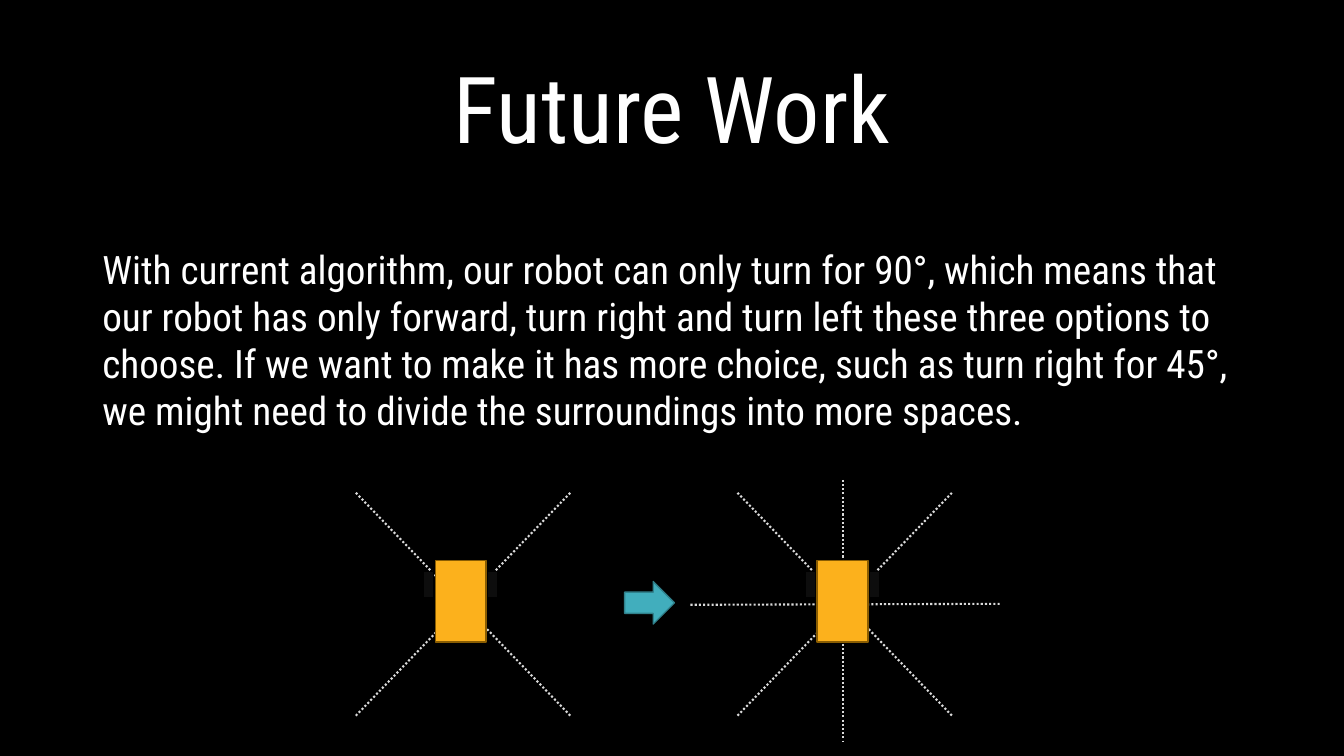
from pptx import Presentation
from pptx.dml.color import RGBColor
from pptx.enum import dml, shapes, text
from pptx.oxml.ns import qn
from pptx.util import Pt
from lxml import etree

BLACK = RGBColor(0x00, 0x00, 0x00)
WHITE = RGBColor(0xFF, 0xFF, 0xFF)
GREY = RGBColor(0xD9, 0xD9, 0xD9)
WHEEL = RGBColor(0x0D, 0x0D, 0x0D)
ORANGE = RGBColor(0xFC, 0xB1, 0x1C)
BROWN = RGBColor(0x8A, 0x5D, 0x02)
TEAL = RGBColor(0x41, 0xAE, 0xBD)
DARK_TEAL = RGBColor(0x30, 0x81, 0x8C)
FONT = "Roboto Condensed"
BODY = (
    "With current algorithm, our robot can only turn for 90°, which means that "
    "our robot has only forward, turn right and turn left these three options to "
    "choose. If we want to make it has more choice, such as turn right for 45°, "
    "we might need to divide the surroundings into more spaces."
)
ROBOT_STEP = 272.6


def add_text(slide, box, content, size, anchor, alignment, spacing):
    """Add a wrapped text box holding one paragraph."""
    frame = slide.shapes.add_textbox(*map(Pt, box)).text_frame
    frame.word_wrap = True
    frame.vertical_anchor = anchor
    paragraph = frame.paragraphs[0]
    paragraph.alignment = alignment
    paragraph.line_spacing = spacing
    run = paragraph.add_run()
    run.text = content
    run.font.name = FONT
    run.font.size = Pt(size)
    run.font.color.rgb = WHITE


def add_block(parent, kind, box, fill, outline):
    """Add a filled shape with a thin outline."""
    shape = parent.shapes.add_shape(kind, *map(Pt, box))
    shape.shadow.inherit = False
    shape.fill.solid()
    shape.fill.fore_color.rgb = fill
    shape.line.color.rgb = outline
    shape.line.width = Pt(1)


def add_divider(parent, *ends):
    """Add a dotted line that separates two spaces."""
    line = parent.shapes.add_connector(shapes.MSO_CONNECTOR.STRAIGHT, *map(Pt, ends))
    line.line.color.rgb = GREY
    line.line.width = Pt(1.5)
    line.line.dash_style = dml.MSO_LINE.ROUND_DOT
    etree.SubElement(line._element.spPr, qn("a:effectLst"))


def add_diagonals(slide, shift):
    """Add the two crossing dividers around a robot."""
    group = slide.shapes.add_group_shape()
    left, right, top, bottom = 254.2 + shift, 407.4 + shift, 352, 511.2
    add_divider(group, left, top, right, bottom)
    add_divider(group, left, bottom, right, top)


def add_robot(slide, shift):
    """Add a robot body with a wheel on each side."""
    group = slide.shapes.add_group_shape()
    rectangle = shapes.MSO_SHAPE.RECTANGLE
    for left in (348.4, 302.6):
        add_block(group, rectangle, (left + shift, 408.2, 7.2, 18.7), WHEEL, BLACK)
    add_block(group, rectangle, (311 + shift, 400.3, 36.3, 58.3), ORANGE, BROWN)


def main():
    """Build and save the slide."""
    presentation = Presentation()
    presentation.slide_width, presentation.slide_height = Pt(960), Pt(540)
    slide = presentation.slides.add_slide(presentation.slide_layouts[6])
    slide.background.fill.solid()
    slide.background.fill.fore_color.rgb = BLACK

    add_text(slide, (66, 28.75, 828, 104.4), "Future Work", 66,
             text.MSO_ANCHOR.MIDDLE, text.PP_ALIGN.CENTER, 0.9)
    add_text(slide, (66, 171.4, 819.4, 143.3), BODY, 28,
             text.MSO_ANCHOR.TOP, text.PP_ALIGN.LEFT, 1.0)

    add_diagonals(slide, 0)
    add_robot(slide, 0)
    add_diagonals(slide, ROBOT_STEP)
    add_divider(slide, 602, 342.7, 602, 529.2)
    add_divider(slide, 493.2, 432, 714.2, 431.3)
    add_robot(slide, ROBOT_STEP)
    add_block(slide, shapes.MSO_SHAPE.RIGHT_ARROW, (446.2, 415.4, 35.6, 30.4),
              TEAL, DARK_TEAL)
    presentation.save("out.pptx")


if __name__ == "__main__":
    main()
